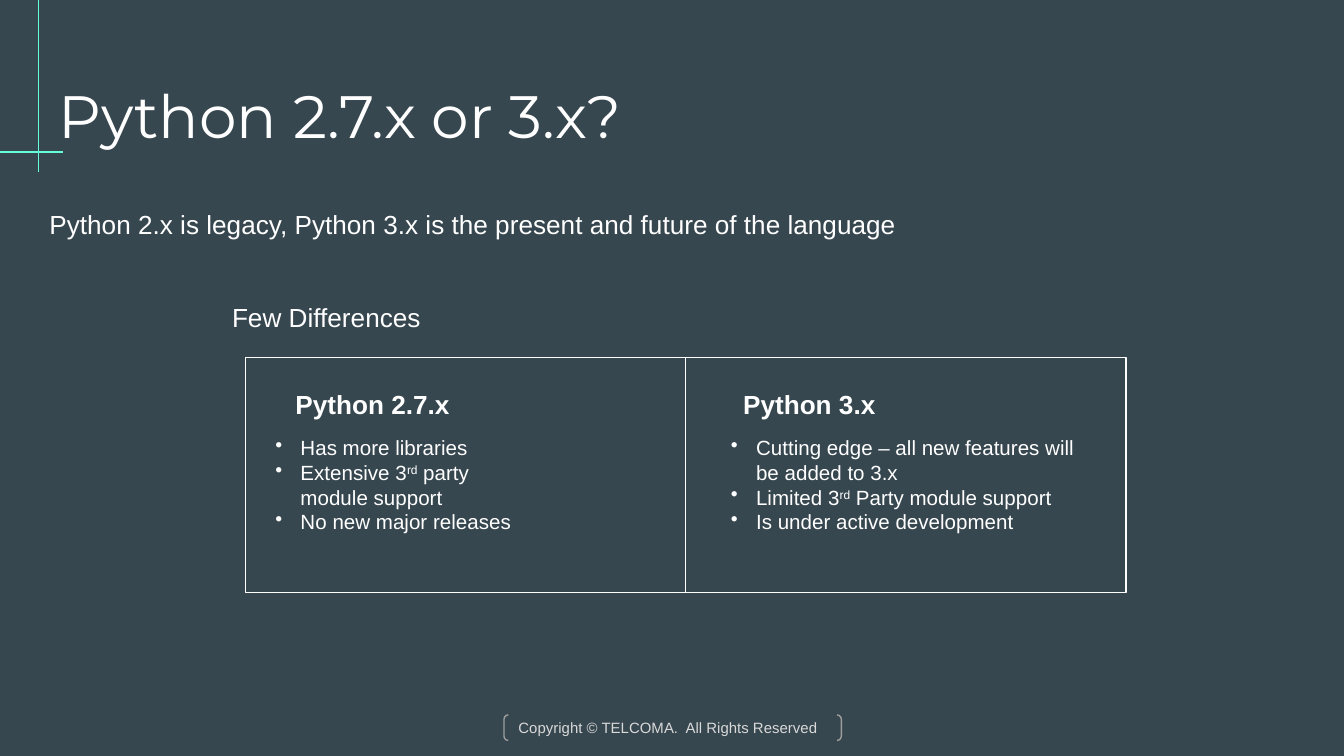
from dataclasses import dataclass

from lxml import etree
from pptx import Presentation
from pptx.dml.color import RGBColor
from pptx.enum.shapes import MSO_CONNECTOR, MSO_SHAPE
from pptx.enum.text import MSO_ANCHOR, PP_ALIGN
from pptx.oxml.ns import qn
from pptx.util import Pt

STRAIGHT = MSO_CONNECTOR.STRAIGHT
RECTANGLE = MSO_SHAPE.RECTANGLE
BRACKETS = MSO_SHAPE.DOUBLE_BRACKET
MIDDLE = MSO_ANCHOR.MIDDLE
LEFT = PP_ALIGN.LEFT
TOP_SIDE, BOTTOM_SIDE = 0, 2


@dataclass(frozen=True)
class Theme:
    background: RGBColor = RGBColor(0x37, 0x47, 0x4F)
    text: RGBColor = RGBColor(0xFF, 0xFF, 0xFF)
    accent: RGBColor = RGBColor(0x64, 0xFF, 0xDA)
    bracket: RGBColor = RGBColor(0x9E, 0x9E, 0x9E)
    footer: RGBColor = RGBColor(0xD9, 0xD9, 0xD9)
    heading_font: str = "Montserrat"
    body_font: str = "Arial"
    title_size: float = 32
    lead_size: float = 14
    bullet_size: float = 11
    footer_size: float = 8
    line_width: float = 0.75
    bullet_indent: float = 13.5


THEME = Theme()

# Each column: heading place, list place, heading, bullets.
# A bullet is a list of pieces; every second piece is superscript.
COLUMNS = [
    ((151.2, 204.5), (140.4, 229.7, 149.8, 74.2), "Python 2.7.x", [
        ["Has more libraries"],
        ["Extensive 3", "rd", " party module support"],
        ["No new major releases"],
    ]),
    ((391, 204.5), (384.5, 229.7, 198.7, 60.5), "Python 3.x", [
        ["Cutting edge – all new features will be added to 3.x"],
        ["Limited 3", "rd", " Party module support"],
        ["Is under active development"],
    ]),
]


def style_font(font, size, color=THEME.text, name=THEME.body_font, bold=False):
    font.size = Pt(size)
    font.name = name
    font.bold = bold
    font.color.rgb = color


def add_text(slide, box, text, size, name=THEME.body_font, bold=False, wrap=True):
    frame = slide.shapes.add_textbox(*map(Pt, box)).text_frame
    frame.word_wrap = wrap
    frame.text = text
    style_font(frame.paragraphs[0].runs[0].font, size, name=name, bold=bold)
    return frame


def add_bullets(slide, box, bullets):
    frame = slide.shapes.add_textbox(*map(Pt, box)).text_frame
    frame.word_wrap = True
    for index, pieces in enumerate(bullets):
        paragraph = frame.add_paragraph() if index else frame.paragraphs[0]
        properties = paragraph._p.get_or_add_pPr()
        properties.set("marL", str(Pt(THEME.bullet_indent)))
        properties.set("indent", str(-Pt(THEME.bullet_indent)))
        etree.SubElement(properties, qn("a:buChar")).set("char", "•")
        for position, piece in enumerate(pieces):
            run = paragraph.add_run()
            run.text = piece
            style_font(run.font, THEME.bullet_size)
            if position % 2:
                run._r.get_or_add_rPr().set("baseline", "30000")


def add_outline(slide, preset, box, color):
    outline = slide.shapes.add_shape(preset, *map(Pt, box))
    outline.shadow.inherit = False
    outline.fill.background()
    outline.line.color.rgb = color
    outline.line.width = Pt(THEME.line_width)
    return outline


def add_line(slide, start, end, color):
    line = slide.shapes.add_connector(STRAIGHT, *map(Pt, start + end))
    line.line.color.rgb = color
    line.line.width = Pt(THEME.line_width)
    etree.SubElement(line._element.spPr, qn("a:effectLst"))
    return line


def add_footer(slide):
    footer = add_outline(slide, BRACKETS, (270, 383, 180.7, 13.7), THEME.bracket)
    frame = footer.text_frame
    frame.word_wrap = True
    frame.vertical_anchor = MIDDLE
    frame.margin_top = frame.margin_bottom = Pt(7.2)
    frame.text = "Copyright © TELCOMA.  All Rights Reserved"
    frame.paragraphs[0].alignment = LEFT
    style_font(frame.paragraphs[0].runs[0].font, THEME.footer_size, THEME.footer)


def add_comparison(slide):
    for heading_place, list_box, heading, bullets in COLUMNS:
        add_bullets(slide, list_box, bullets)
        add_text(slide, heading_place + (151.9, 24.5), heading,
                 THEME.lead_size, bold=True)

    # Frame split in two halves
    left, top, width, height = 131.6, 191.5, 471.6, 126
    frame = add_outline(slide, RECTANGLE, (left, top, width, height), THEME.text)
    center = left + width / 2
    divider = add_line(slide, (center, top), (center, top + height), THEME.text)
    divider.begin_connect(frame, TOP_SIDE)
    divider.end_connect(frame, BOTTOM_SIDE)


def main():
    presentation = Presentation()
    presentation.slide_width, presentation.slide_height = Pt(720), Pt(405)
    slide = presentation.slides.add_slide(presentation.slide_layouts[6])
    slide.background.fill.solid()
    slide.background.fill.fore_color.rgb = THEME.background

    add_footer(slide)

    # Title with crossing accent lines
    title = add_text(slide, (24.5, 35.3, 671, 45.4), "Python 2.7.x or 3.x?",
                     THEME.title_size, name=THEME.heading_font)
    title.margin_top = title.margin_bottom = Pt(7.2)
    add_line(slide, (20.5, 0), (20.5, 92.2), THEME.accent)
    add_line(slide, (0, 81.5), (33.8, 81.5), THEME.accent)

    # Lead statement and comparison
    add_text(slide, (19.4, 108, 479.5, 24.5),
             "Python 2.x is legacy, Python 3.x is the present and future of the language",
             THEME.lead_size, wrap=False)
    add_text(slide, (117.2, 158, 151.9, 41), "Few Differences", THEME.lead_size)
    add_comparison(slide)

    presentation.save("out.pptx")


if __name__ == "__main__":
    main()
